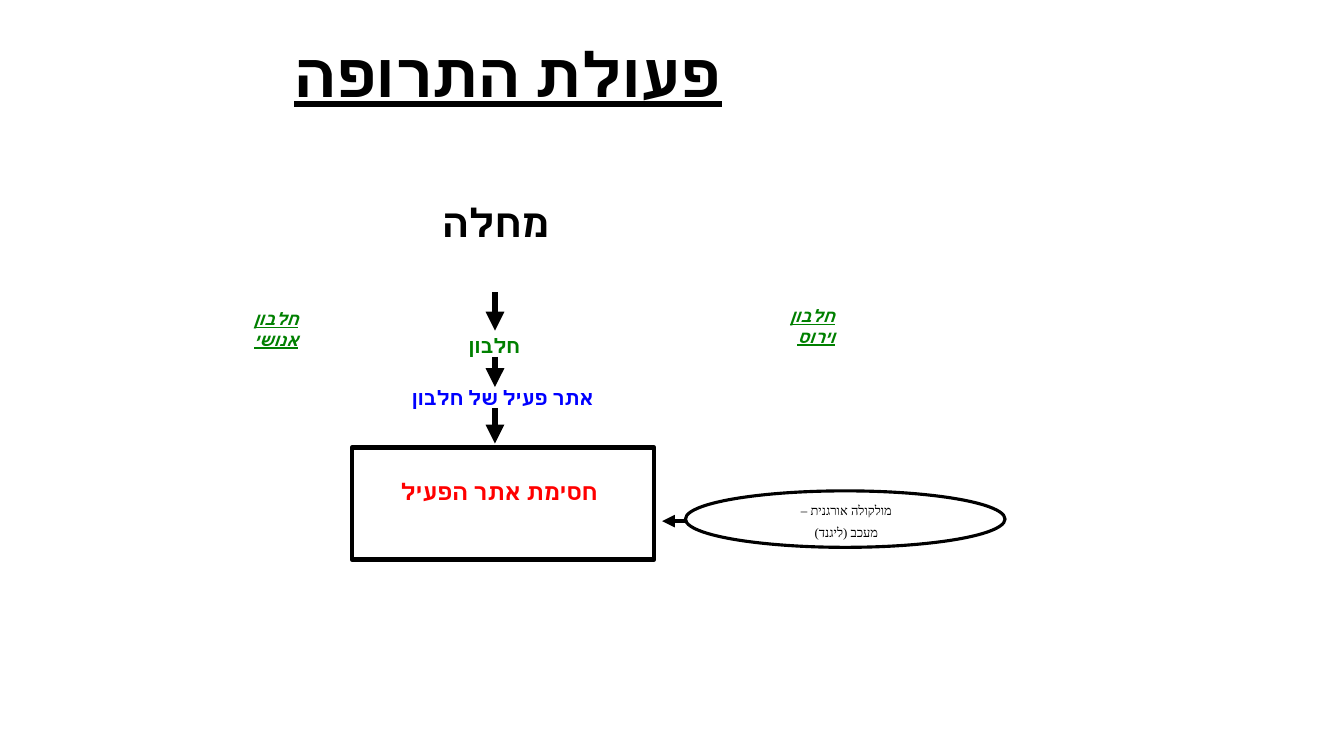
import pptx
import pptx.dml.color
import pptx.enum.shapes
import pptx.enum.text
import pptx.oxml.ns
import pptx.util
from lxml import etree

RGBColor = pptx.dml.color.RGBColor
BLACK = RGBColor(0x00, 0x00, 0x00)
GREEN = RGBColor(0x00, 0x80, 0x00)
BLUE = RGBColor(0x00, 0x00, 0xFF)
RED = RGBColor(0xFF, 0x00, 0x00)

ALIGN = pptx.enum.text.PP_ALIGN
ANCHOR = pptx.enum.text.MSO_ANCHOR
SHAPE = pptx.enum.shapes.MSO_SHAPE
qn = pptx.oxml.ns.qn

SLIDE_WIDTH = pptx.util.Inches(13.33)
SLIDE_HEIGHT = pptx.util.Inches(7.5)

# Text formats
TITLE = {"size": pptx.util.Pt(44), "bold": True, "underline": True}
DISEASE = {"size": pptx.util.Pt(28), "bold": True}
STEP = {"size": pptx.util.Pt(14.3), "bold": True}
ORIGIN = {"size": pptx.util.Pt(12.3), "bold": True, "italic": True, "underline": True}
BLOCKING = {"size": pptx.util.Pt(16.4), "bold": True}
LIGAND = {"size": pptx.util.Pt(9.2), "name": "Times New Roman"}


# All lengths are percent of the slide's width or height
def across(share):
    return round(SLIDE_WIDTH * share / 100)


def down(share):
    return round(SLIDE_HEIGHT * share / 100)


def place(box):
    left, top, width, height = box
    return across(left), down(top), across(width), down(height)


def add_label(slide, box, lines, style, color=BLACK, align=ALIGN.CENTER,
              anchor=ANCHOR.TOP, gap=4.2):
    frame = slide.shapes.add_textbox(*place(box)).text_frame
    frame.word_wrap = True
    frame.vertical_anchor = anchor
    for index, line in enumerate(lines):
        paragraph = frame.add_paragraph() if index else frame.paragraphs[0]
        paragraph.alignment = align
        paragraph.space_after = pptx.util.Pt(gap)
        paragraph._p.get_or_add_pPr().set("rtl", "1")
        run = paragraph.add_run()
        run.text = line
        for attribute, value in ({"name": "Calibri"} | style).items():
            setattr(run.font, attribute, value)
        run.font.color.rgb = color
        # Hebrew takes the complex-script font
        script_font = etree.SubElement(run._r.get_or_add_rPr(), qn("a:cs"))
        script_font.set("typeface", run.font.name)


def add_arrow(slide, start, end, weight):
    arrow = slide.shapes.add_connector(
        pptx.enum.shapes.MSO_CONNECTOR.STRAIGHT,
        across(start[0]), down(start[1]), across(end[0]), down(end[1]))
    arrow.line.color.rgb = BLACK
    arrow.line.width = pptx.util.Pt(weight)
    head = etree.SubElement(arrow.line._get_or_add_ln(), qn("a:tailEnd"))
    head.set("type", "triangle")
    etree.SubElement(arrow._element.spPr, qn("a:effectLst"))


def add_outline(slide, kind, box, weight):
    outline = slide.shapes.add_shape(kind, *place(box))
    outline.shadow.inherit = False
    outline.fill.background()
    outline.line.color.rgb = BLACK
    outline.line.width = pptx.util.Pt(weight)


# Heading and the disease the chain starts from
def add_heading(slide, box):
    left, top, width, height = box
    add_label(slide, box, ["פעולת התרופה"], TITLE, anchor=ANCHOR.MIDDLE, gap=0)
    add_label(slide, (left + 4.6, top + 24.27, 44.2, 66), ["מחלה"], DISEASE,
              align=ALIGN.RIGHT, gap=0)


# Disease to protein to active site
def add_chain(slide, box):
    left, top, width, height = box
    add_label(slide, (left + 12.68, top + 4.8, 12.22, 4.53), ["חלבון"], STEP, GREEN)
    add_label(slide, (left, top + 11.73, width, 4.53), ["אתר פעיל של חלבון"], STEP, BLUE)
    axis = left + 18.83
    for start, end in ((0, 5.07), (8.53, 12.53), (15.33, height)):
        add_arrow(slide, (axis, top + start), (axis, top + end), 4.5)


# Where the protein comes from
def add_origin(slide, box, origin):
    add_label(slide, box, [origin], ORIGIN, GREEN, align=ALIGN.RIGHT)


# Blocked active site
def add_blocking(slide, box):
    left, top, width, height = box
    add_label(slide, (left, top + 3.33, 21.9, 5.07), ["חסימת אתר הפעיל"], BLOCKING, RED)
    add_outline(slide, SHAPE.RECTANGLE, box, 3)


# Ligand acting on the active site
def add_inhibitor(slide, box):
    left, top, width, height = box
    add_label(slide, (left + 4.13, top + 0.93, 15.68, 4.8),
              ["מולקולה אורגנית –", "מעכב (ליגנד)"], LIGAND)
    add_outline(slide, SHAPE.OVAL, box, 2.25)
    add_arrow(slide, (left + 0.15, top + 4), (left - 1.73, top + 4), 3)


def main():
    deck = pptx.Presentation()
    deck.slide_width, deck.slide_height = SLIDE_WIDTH, SLIDE_HEIGHT
    slide = deck.slides.add_slide(deck.slide_layouts[6])
    add_heading(slide, (-7.2, 1.33, 90, 16.67))
    add_chain(slide, (18, 38.67, 38.85, 20))
    add_origin(slide, (17.7, 40.13, 5.25, 6.5), "חלבון אנושי")
    add_origin(slide, (57.6, 39.73, 5.25, 6.5), "חלבון וירוס")
    add_blocking(slide, (26.18, 59.2, 22.5, 14.8))
    add_inhibitor(slide, (51, 64.93, 23.78, 7.47))
    deck.save("out.pptx")


if __name__ == "__main__":
    main()
